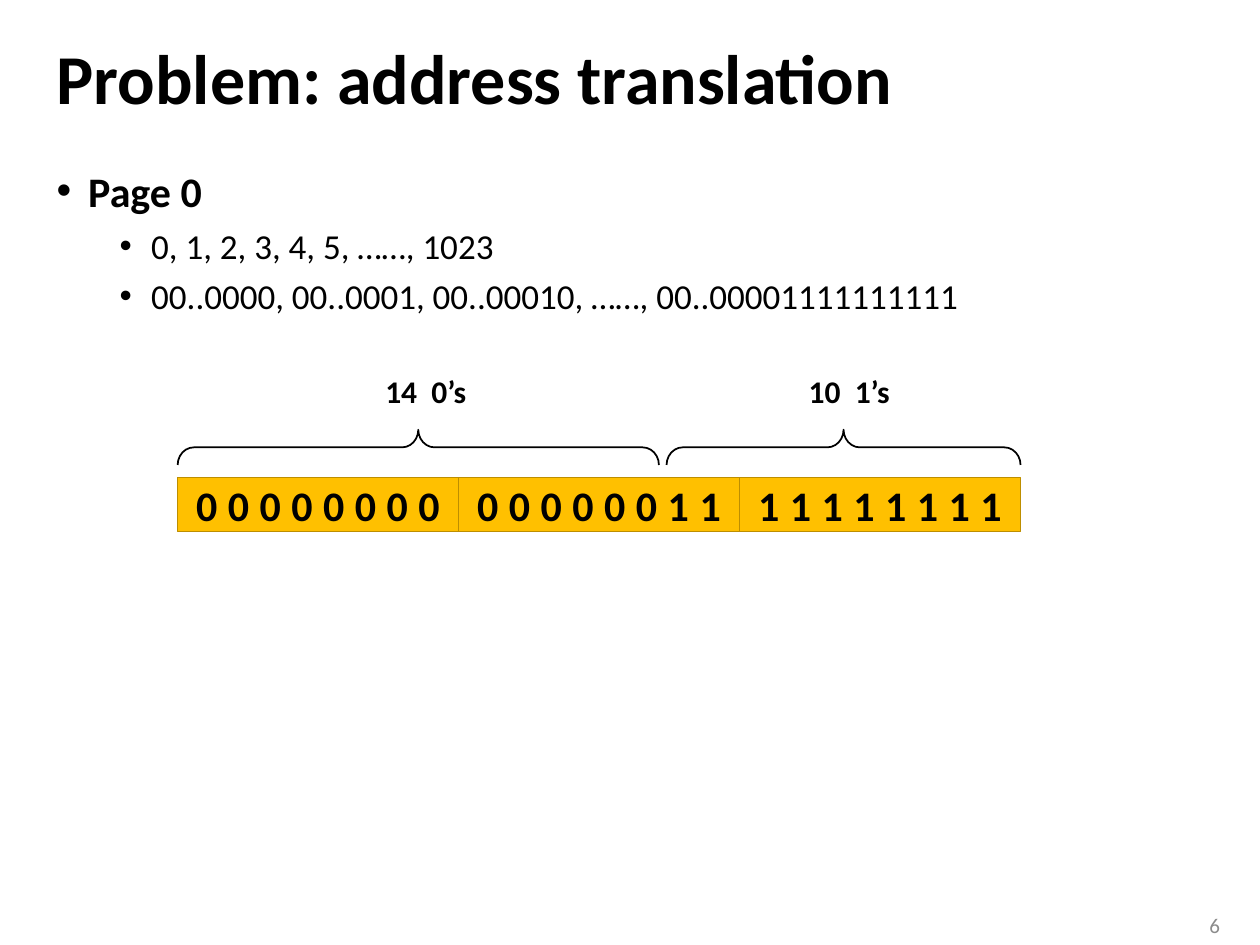
import pptx
import pptx.util
import pptx.dml.color
import pptx.enum.shapes
import pptx.enum.text
import lxml.etree
from pptx.util import Inches

# Content
TITLE = "Problem: address translation"
PAGE_LINES = [
    (0, "Page 0"),
    (1, "0, 1, 2, 3, 4, 5, ……, 1023"),
    (1, "00..0000, 00..0001, 00..00010, ……, 00..00001111111111"),
]
ADDRESS_BYTES = ["00000000", "00000011", "11111111"]
# label, label left, brace left, brace length
BIT_RUNS = [("10  1’s", 6.32, 5.29, 2.81), ("14  0’s", 2.96, 1.41, 3.82)]
SLIDE_NUMBER = "6"

COLORS = {"text": "000000", "number": "8C8C8C", "byte": "FFC000", "edge": "BD8E00"}
FONT = "Calibri"
ALIGN = pptx.enum.text.PP_ALIGN
ANCHOR = pptx.enum.text.MSO_ANCHOR
SHAPE = pptx.enum.shapes.MSO_SHAPE

# Layout in inches
BYTE_LEFT, BYTE_TOP, BYTE_WIDTH, BYTE_HEIGHT = 1.41, 3.79, 2.23, 0.43
BRACE_MIDDLE, BRACE_DEPTH = 3.55, 0.28
LABEL_TOP, LABEL_WIDTH, LABEL_HEIGHT = 2.9, 1.23, 0.4
# Per list level: text indent, space before, size, bold
LEVELS = [(0.25, 10, 24, True), (0.75, 5, 20, False)]


def rgb(name):
    return pptx.dml.color.RGBColor.from_string(COLORS[name])


def write(paragraph, text, size, bold=False, color="text", align=ALIGN.LEFT,
          before=0, line=1.0, tracking=None):
    paragraph.alignment = align
    paragraph.space_before = pptx.util.Pt(before)
    paragraph.line_spacing = line
    run = paragraph.add_run()
    run.text = text
    run.font.name = FONT
    run.font.size = pptx.util.Pt(size)
    run.font.bold = bold
    run.font.color.rgb = rgb(color)
    if tracking:
        run.font._element.set("spc", str(tracking * 100))


def place(shape, left, top, width, height):
    shape.left, shape.top = Inches(left), Inches(top)
    shape.width, shape.height = Inches(width), Inches(height)


def add_bullet(paragraph, indent):
    properties = paragraph._p.get_or_add_pPr()
    properties.set("marL", str(Inches(indent)))
    properties.set("indent", str(Inches(-0.25)))
    namespace = "{http://schemas.openxmlformats.org/drawingml/2006/main}"
    lxml.etree.SubElement(properties, namespace + "buFont", typeface="Arial")
    lxml.etree.SubElement(properties, namespace + "buChar", char="•")


def outline(shape, color):
    shape.shadow.inherit = False
    shape.line.color.rgb = rgb(color)
    shape.line.width = pptx.util.Pt(1)


def main():
    deck = pptx.Presentation()
    deck.slide_width, deck.slide_height = Inches(10), Inches(7.5)
    slide = deck.slides.add_slide(deck.slide_layouts[1])

    # Title
    title = slide.shapes.title
    place(title, 0.35, 0.19, 9.29, 0.92)
    title.text_frame.auto_size = pptx.enum.text.MSO_AUTO_SIZE.NONE
    title.text_frame.vertical_anchor = ANCHOR.MIDDLE
    write(title.text_frame.paragraphs[0], TITLE, 40, bold=True, line=0.9)

    # Page address list
    body = slide.placeholders[1]
    place(body, 0.35, 1.26, 9.29, 5.83)
    body.text_frame.auto_size = pptx.enum.text.MSO_AUTO_SIZE.NONE
    for index, (level, text) in enumerate(PAGE_LINES):
        paragraph = body.text_frame.add_paragraph() if index else body.text_frame.paragraphs[0]
        indent, before, size, bold = LEVELS[level]
        paragraph.level = level
        add_bullet(paragraph, indent)
        write(paragraph, text, size, bold=bold, before=before if index else 0)

    # Slide number
    number = slide.shapes.add_textbox(Inches(9.27), Inches(7.19), Inches(0.51), Inches(0.31))
    number.text_frame.word_wrap = True
    number.text_frame.vertical_anchor = ANCHOR.MIDDLE
    write(number.text_frame.paragraphs[0], SLIDE_NUMBER, 12, color="number", align=ALIGN.RIGHT)

    # Braces and labels over the runs of equal bits
    address = slide.shapes.add_group_shape()
    for label, label_left, left, length in BIT_RUNS:
        brace = address.shapes.add_shape(
            SHAPE.RIGHT_BRACE,
            Inches(left + (length - BRACE_DEPTH) / 2), Inches(BRACE_MIDDLE - length / 2),
            Inches(BRACE_DEPTH), Inches(length))
        brace.rotation = 270
        brace.adjustments[0], brace.adjustments[1] = 0.46, 0.5
        brace.fill.background()
        outline(brace, "text")
        caption = address.shapes.add_textbox(
            Inches(label_left), Inches(LABEL_TOP), Inches(LABEL_WIDTH), Inches(LABEL_HEIGHT))
        caption.text_frame.word_wrap = True
        write(caption.text_frame.paragraphs[0], label, 18, bold=True)

    # Address bytes
    for index, bits in enumerate(ADDRESS_BYTES):
        byte = address.shapes.add_shape(
            SHAPE.RECTANGLE, Inches(BYTE_LEFT + index * BYTE_WIDTH), Inches(BYTE_TOP),
            Inches(BYTE_WIDTH), Inches(BYTE_HEIGHT))
        byte.fill.solid()
        byte.fill.fore_color.rgb = rgb("byte")
        outline(byte, "edge")
        byte.text_frame.vertical_anchor = ANCHOR.MIDDLE
        write(byte.text_frame.paragraphs[0], bits, 24, bold=True,
              align=ALIGN.CENTER, tracking=6)

    deck.save("out.pptx")


if __name__ == "__main__":
    main()
